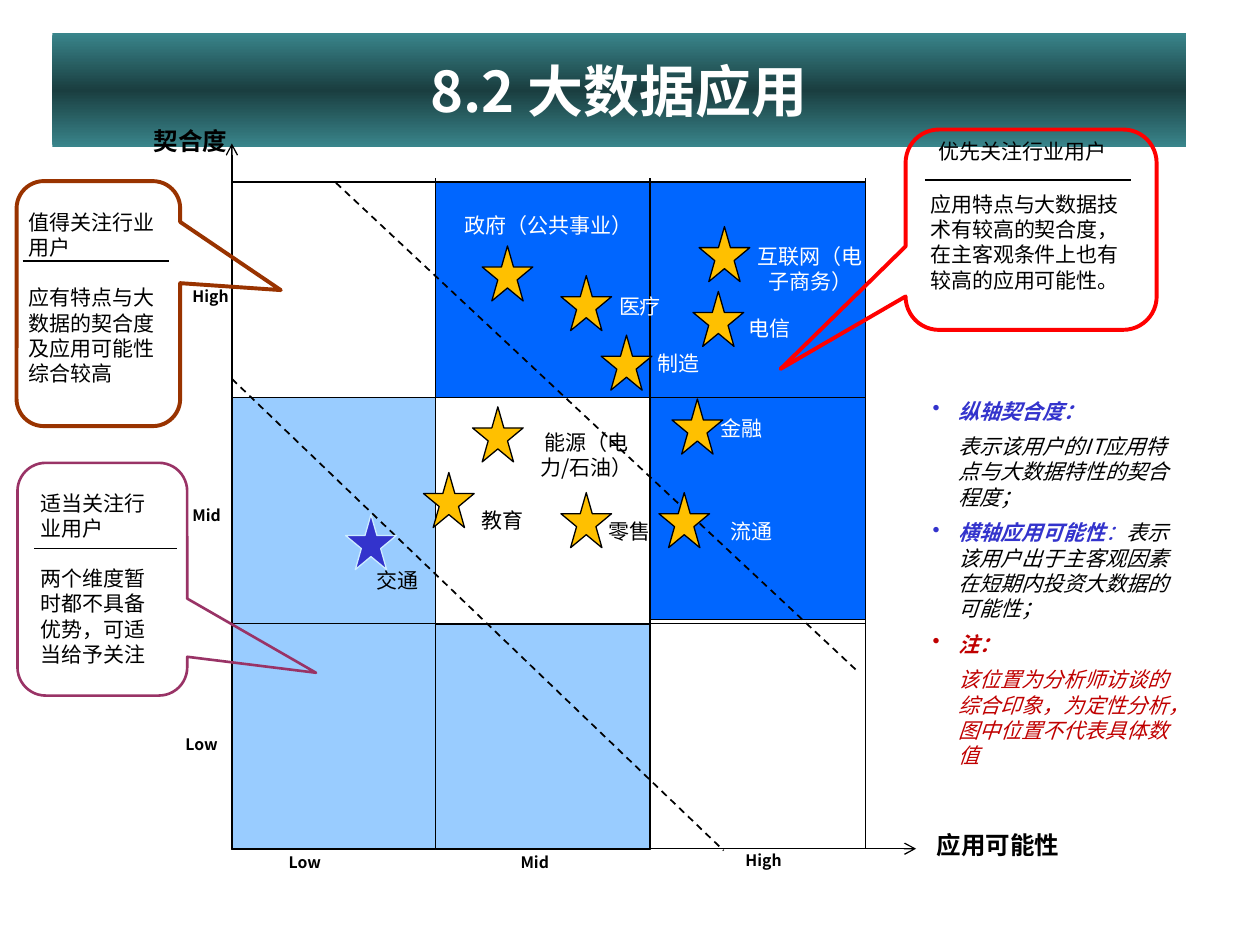
from copy import deepcopy
from pptx import Presentation
from pptx.dml.color import RGBColor
from pptx.enum.dml import MSO_LINE
from pptx.enum.shapes import MSO_CONNECTOR, MSO_SHAPE
from pptx.enum.text import MSO_ANCHOR, PP_ALIGN
from pptx.oxml.ns import qn
from pptx.oxml.xmlchemy import OxmlElement
from pptx.util import Pt

FONT = "Noto Sans CJK SC"
COLORS = {
    "black": "000000", "white": "FFFFFF", "teal": "39858B", "deep_teal": "1A3E40",
    "pale_blue": "99CCFF", "blue": "0066FF", "gold": "FFC000", "indigo": "3333CC",
    "ice": "CCECFF", "crimson": "C00000", "red": "FF0000", "brown": "993300",
    "plum": "993366",
}
COLUMNS = [132.5, 249, 371.5, 494.5]
ROWS = [104, 227, 356.5, 485.5]

INDUSTRIES = [
    ("电信", (396, 166.5), (394, 176.5, 92, 21.6), "white"),
    ("政府（公共事业）", (275.5, 140.5), (255.5, 118, 116, 21.6), "white"),
    ("交通", (197.5, 294), (191.5, 320.5, 71, 21.6), "black"),
    ("金融", (384, 228), (390, 234, 67.5, 21.6), "white"),
    ("医疗", (320.5, 157.5), (332, 164, 67.5, 21.6), "white"),
    ("教育", (242, 270), (253.5, 286.5, 67.5, 21.6), "black"),
    ("能源（电力/石油）", (270, 232.5), (292.5, 242, 85.5, 36), "black"),
    ("互联网（电子商务）", (399.5, 129.5), (422, 135.5, 82, 36), "white"),
    ("流通", (376.5, 281.5), (394, 292.5, 71, 21.6), "white"),
    ("零售", (320.5, 281.5), (326, 293, 67.5, 21.6), "black"),
    ("制造", (343.5, 191.5), (354, 196.5, 67.5, 21.6), "white"),
]
AXIS_LEVELS = [
    ("High", 110, 164), ("Mid", 110, 289), ("Low", 106, 420),
    ("Low", 165, 487.5), ("Mid", 297.5, 487.5), ("High", 426, 486),
]
CALLOUTS = [
    ((517.5, 74, 143.5, 114.5), (-0.998, 0.695), "red", 2.25),
    ((9.5, 103.5, 93.5, 140), (1.115, -0.055), "brown", 2.25),
    ((10, 264.5, 97, 133), (1.259, 0.402), "plum", 1.5),
]
CALLOUT_TEXTS = [
    ((9.5, 116, 93.5, 108), "值得关注行业用户", "应有特点与大数据的契合度及应用可能性综合较高"),
    ((16, 276.5, 84, 108), "适当关注行业用户", "两个维度暂时都不具备优势，可适当给予关注"),
]
CALLOUT_RULES = [(528.5, 646.5, 103), (13, 96.5, 149), (19.5, 101, 313.5)]
NOTES = [
    ("indigo", [("纵轴契合度：", "indigo", True)]),
    (None, [("表示该用户的IT应用特点与大数据特性的契合程度；", "black", False)]),
    ("indigo", [("横轴应用可能性", "indigo", True), ("：", "indigo", False),
                ("表示该用户出于主客观因素在短期内投资大数据的可能性；", "black", False)]),
    ("crimson", [("注：", "crimson", True)]),
    (None, [("该位置为分析师访谈的综合印象，为定性分析，图中位置不代表具体数值", "crimson", False)]),
]


def rgb(name):
    """Return the named colour."""
    return RGBColor.from_string(COLORS[name])


def style_paragraph(paragraph, size, color, bold=False, align=PP_ALIGN.LEFT):
    """Set the font of a paragraph, Latin and East Asian, and its alignment."""
    paragraph.alignment = align
    font = paragraph.font
    font.name, font.size, font.bold = FONT, Pt(size), bold
    font.color.rgb = rgb(color)
    east_asian = OxmlElement("a:ea")
    east_asian.set("typeface", FONT)
    paragraph._p.pPr.find(qn("a:defRPr")).find(qn("a:latin")).addnext(east_asian)


def add_text(slide, box, texts, size=12, color="black", bold=False,
             align=PP_ALIGN.LEFT, inset=True, anchor=MSO_ANCHOR.TOP):
    """Add a wrapped text box whose paragraphs are one line apart."""
    frame = slide.shapes.add_textbox(*map(Pt, box)).text_frame
    frame.word_wrap = True
    frame.vertical_anchor = anchor
    if not inset:
        frame.margin_left = frame.margin_right = frame.margin_top = frame.margin_bottom = 0
    for index, text in enumerate(texts):
        paragraph = frame.add_paragraph() if index else frame.paragraphs[0]
        paragraph.text = text
        paragraph.line_spacing = Pt(size * 1.2)
        if index:
            paragraph.space_before = Pt(size * 1.2)
        style_paragraph(paragraph, size, color, bold, align)


def add_figure(slide, kind, box, fill, line, width=0.75):
    """Add a preset shape with an outline and an optional fill."""
    figure = slide.shapes.add_shape(kind, *map(Pt, box))
    figure.shadow.inherit = False
    if fill:
        figure.fill.solid()
        figure.fill.fore_color.rgb = rgb(fill)
    else:
        figure.fill.background()
    figure.line.color.rgb = rgb(line)
    figure.line.width = Pt(width)
    return figure


def add_line(slide, start, end, width=0.75, dashed=False, arrow=False):
    """Add a straight black line, dashed or arrowed on demand."""
    connector = slide.shapes.add_connector(
        MSO_CONNECTOR.STRAIGHT, *map(Pt, (*start, *end)))
    connector.line.color.rgb = rgb("black")
    connector.line.width = Pt(width)
    if dashed:
        connector.line.dash_style = MSO_LINE.DASH
    properties = connector.element.spPr
    if arrow:
        head = OxmlElement("a:tailEnd")
        head.set("type", "arrow")
        properties.find(qn("a:ln")).append(head)
    properties.append(OxmlElement("a:effectLst"))


def format_title(slide):
    """Place the title on its gradient banner."""
    title = slide.shapes.title
    title.left, title.top, title.width, title.height = map(Pt, (30, 19, 648, 65))
    title.fill.gradient()
    title.fill.gradient_angle = 90
    first = title.element.spPr.find(".//" + qn("a:gs"))
    first.addnext(deepcopy(first))
    stops = zip(title.fill.gradient_stops, (0, 0.5, 1), ("teal", "deep_teal", "teal"))
    for stop, position, color in stops:
        stop.position = position
        stop.color.rgb = rgb(color)
    title.text_frame.text = "8.2 大数据应用"
    title.text_frame.vertical_anchor = MSO_ANCHOR.MIDDLE
    style_paragraph(title.text_frame.paragraphs[0], 32, "white", True, PP_ALIGN.CENTER)


def add_matrix(slide):
    """Draw the coloured cells, the axes and the grid lines."""
    left, mid, high, right = COLUMNS
    top, upper, lower, bottom = ROWS
    cells = [(mid, lower, high, bottom, "pale_blue"), (left, upper, mid, bottom, "pale_blue"),
             (high, upper, right, 354, "blue"), (mid, top, right, upper, "blue")]
    for x1, y1, x2, y2, fill in cells:
        add_figure(slide, MSO_SHAPE.RECTANGLE, (x1, y1, x2 - x1, y2 - y1), fill, "black")
    add_line(slide, (left, 485), (523.5, 485), arrow=True)
    add_line(slide, (left, 485), (left, 82), arrow=True)
    for x in COLUMNS[1:]:
        add_line(slide, (x, 485), (x, 101.5))
    for y in ROWS[:3]:
        add_line(slide, (left, y), (right, y))


def add_industry(slide, name, star, label, color):
    """Mark one industry with a star and its name."""
    fill, line = ("indigo", "ice") if name == "交通" else ("gold", "black")
    add_figure(slide, MSO_SHAPE.STAR_5_POINT, (*star, 29, 31.5), fill, line)
    add_text(slide, label, [name], color=color, align=PP_ALIGN.CENTER)


def add_notes_list(slide):
    """Add the bulleted explanation of the axes."""
    frame = slide.shapes.add_textbox(*map(Pt, (533, 227.5, 139, 232))).text_frame
    frame.word_wrap = True
    frame.margin_left = frame.margin_right = frame.margin_top = frame.margin_bottom = 0
    for index, (bullet, parts) in enumerate(NOTES):
        paragraph = frame.add_paragraph() if index else frame.paragraphs[0]
        paragraph.line_spacing = Pt(14.4)
        paragraph.space_before = Pt(6 if index else 0)
        style_paragraph(paragraph, 12, "black")
        paragraph.font.italic = True
        for text, color, bold in parts:
            run = paragraph.add_run()
            run.text = text
            run.font.bold = bold
            run.font.color.rgb = rgb(color)
        properties = paragraph._p.pPr
        properties.set("marL", str(Pt(15)))
        properties.set("indent", str(Pt(-15 if bullet else 0)))
        if bullet:
            tint, mark = OxmlElement("a:buClr"), OxmlElement("a:buChar")
            value = OxmlElement("a:srgbClr")
            value.set("val", COLORS[bullet])
            tint.append(value)
            mark.set("char", "•")
            for element in (tint, mark):
                properties.find(qn("a:defRPr")).addprevious(element)


def main():
    """Build the slide and save it."""
    deck = Presentation()
    deck.slide_width, deck.slide_height = Pt(720), Pt(540)
    slide = deck.slides.add_slide(deck.slide_layouts[5])
    format_title(slide)
    add_matrix(slide)
    for start, end in [((192, 104.5), (491, 384.5)), ((132.5, 216.5), (413.5, 486))]:
        add_line(slide, start, end, 1, dashed=True)
    for industry in INDUSTRIES:
        add_industry(slide, *industry)
    for name, x, y in [("契合度", 36, 68.5), ("应用可能性", 497.5, 471)]:
        add_text(slide, (x, y, 145.5, 24), [name], 14, bold=True, align=PP_ALIGN.CENTER)
    for level, x, y in AXIS_LEVELS:
        add_text(slide, (x, y, 36, 11), [level], 9, bold=True, inset=False)
    for box, tip, color, width in CALLOUTS:
        callout = add_figure(slide, MSO_SHAPE.ROUNDED_RECTANGULAR_CALLOUT, box, None, color, width)
        callout.adjustments[0], callout.adjustments[1] = tip
    for box, heading, advice in CALLOUT_TEXTS:
        add_text(slide, box, [heading, advice], anchor=MSO_ANCHOR.MIDDLE)
    add_text(slide, (536.5, 79, 123, 14.4), ["优先关注行业用户"], inset=False)
    add_text(slide, (531.5, 109.5, 118, 57.5),
             ["应用特点与大数据技术有较高的契合度，在主客观条件上也有较高的应用可能性。"], inset=False)
    for x1, x2, y in CALLOUT_RULES:
        add_line(slide, (x1, y), (x2, y), 1)
    add_notes_list(slide)
    deck.save("out.pptx")


if __name__ == "__main__":
    main()
